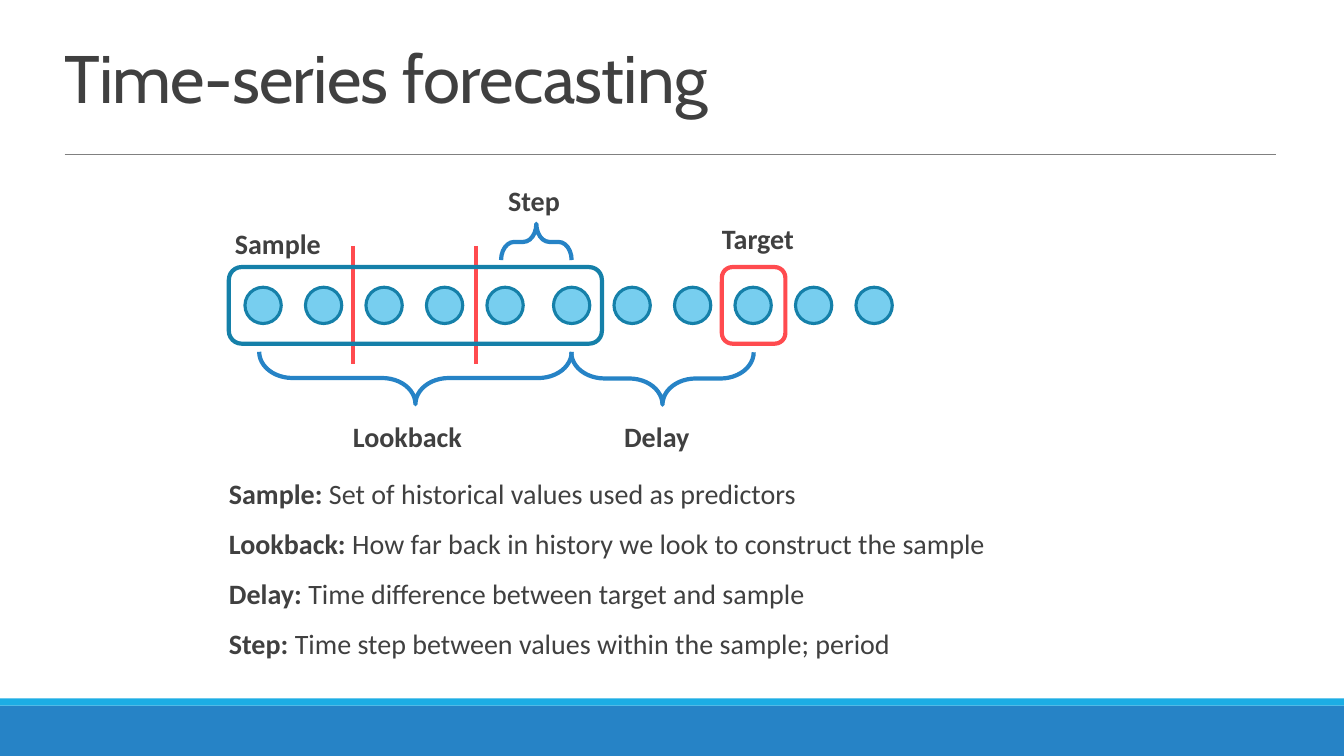
from pptx import Presentation
from pptx.dml.color import RGBColor
from pptx.enum.shapes import MSO_CONNECTOR, MSO_SHAPE
from pptx.enum.text import MSO_ANCHOR, MSO_AUTO_SIZE, PP_ALIGN
from pptx.oxml.ns import qn
from pptx.util import Inches, Pt

COLORS = {
    "text": "404040",
    "rule": "808080",
    "blue": "2683C6",
    "cyan": "1CADE4",
    "dot": "77CEEF",
    "outline": "1580A9",
    "red": "FF4B4F",
}

DEFINITIONS = [
    ("Sample: ", "Set of historical values used as predictors"),
    ("Lookback: ", "How far back in history we look to construct the sample"),
    ("Delay: ", "Time difference between target and sample"),
    ("Step: ", "Time step between values within the sample; period"),
]

LABELS = [
    ("Sample", 2.33, 2.24, 1.19, 0.41),
    ("Target", 7.16, 2.19, 1.19, 0.41),
    ("Lookback", 3.5, 4.15, 1.47, 0.48),
    ("Delay", 6.19, 4.15, 0.87, 0.48),
    ("Step", 5.04, 1.81, 0.7, 0.41),
]

DOT_COUNT, SAMPLE_DOTS = 11, 6
DOT_LEFT, DOT_PITCH, LAST_SAMPLE_SHIFT = 2.43, 0.6, 0.06


def rgb(name):
    return RGBColor.from_string(COLORS[name])


def add_figure(slide, kind, left, top, width, height, fill=None, line=None, weight=3):
    figure = slide.shapes.add_shape(
        kind, Inches(left), Inches(top), Inches(width), Inches(height))
    figure.shadow.inherit = False
    if fill:
        figure.fill.solid()
        figure.fill.fore_color.rgb = rgb(fill)
    else:
        figure.fill.background()
    if line:
        figure.line.color.rgb = rgb(line)
        figure.line.width = Pt(weight)
    else:
        figure.line.fill.background()
    return figure


def add_brace(slide, left, top, width, height, rotation, curve):
    brace = add_figure(slide, MSO_SHAPE.RIGHT_BRACE, left, top, width, height, line="blue")
    brace.rotation = rotation
    brace.adjustments[0] = curve
    brace.adjustments[1] = 0.5


def add_line(slide, x1, y1, x2, y2, color, weight):
    line = slide.shapes.add_connector(
        MSO_CONNECTOR.STRAIGHT, Inches(x1), Inches(y1), Inches(x2), Inches(y2))
    line.line.color.rgb = rgb(color)
    line.line.width = Pt(weight)
    properties = line._element.spPr
    properties.append(properties.makeelement(qn("a:effectLst"), {}))


def style_run(run, size, font, bold=False):
    run.font.size = Pt(size)
    run.font.name = font
    run.font.bold = bold
    run.font.color.rgb = rgb("text")


def add_text(slide, entries, left, top, width, height):
    """Write one paragraph per (bold term, plain explanation) pair."""
    box = slide.shapes.add_textbox(
        Inches(left), Inches(top), Inches(width), Inches(height))
    frame = box.text_frame
    frame.word_wrap = True
    frame.margin_left = frame.margin_right = 0
    frame.text = "\n".join(term for term, _ in entries)
    for paragraph, (_, explanation) in zip(frame.paragraphs, entries):
        paragraph.line_spacing = 0.9
        paragraph.space_before = Pt(12)
        paragraph.space_after = Pt(2)
        style_run(paragraph.runs[0], 20, "Calibri", bold=True)
        if explanation:
            run = paragraph.add_run()
            run.text = explanation
            style_run(run, 20, "Calibri")


def set_title(slide, wording):
    title = slide.shapes.title
    title.left, title.top = Inches(0.54), Inches(0.21)
    title.width, title.height = Inches(12.11), Inches(1)
    frame = title.text_frame
    frame.text = wording
    frame.auto_size = MSO_AUTO_SIZE.NONE
    frame.vertical_anchor = MSO_ANCHOR.BOTTOM
    paragraph = frame.paragraphs[0]
    paragraph.alignment = PP_ALIGN.LEFT
    paragraph.line_spacing = 0.85
    run = paragraph.runs[0]
    style_run(run, 48, "Cabin")
    run.font._element.set("spc", "-50")


def add_backdrop(slide):
    add_figure(slide, MSO_SHAPE.RECTANGLE, 0, 7, 13.33, 0.5, fill="blue")
    add_figure(slide, MSO_SHAPE.RECTANGLE, 0, 6.93, 13.33, 0.07, fill="cyan")
    add_line(slide, 0.64, 1.53, 12.66, 1.53, "rule", 0.5)


def add_timeline(slide):
    for index in range(DOT_COUNT):
        shift = LAST_SAMPLE_SHIFT if index >= SAMPLE_DOTS - 1 else 0
        add_figure(slide, MSO_SHAPE.OVAL, DOT_LEFT + index * DOT_PITCH + shift, 2.85,
                   0.36, 0.36, fill="dot", line="outline", weight=2.25)
    add_figure(slide, MSO_SHAPE.ROUNDED_RECTANGLE, 7.16, 2.65, 0.63, 0.76, line="red")
    add_brace(slide, 3.86, 2.2, 0.52, 3.1, 90, 0.636)
    add_brace(slide, 6.31, 2.85, 0.52, 1.81, 90, 0.636)
    add_brace(slide, 5.14, 2.05, 0.36, 0.7, 270, 0.36)
    for step_edge in (3.5, 4.72):
        add_line(slide, step_edge, 2.44, step_edge, 3.61, "red", 3)
    add_figure(slide, MSO_SHAPE.ROUNDED_RECTANGLE, 2.27, 2.65, 3.7, 0.76, line="outline")
    for wording, *place in LABELS:
        add_text(slide, [(wording, "")], *place)


def main():
    deck = Presentation()
    deck.slide_width, deck.slide_height = Inches(13.33), Inches(7.5)
    slide = deck.slides.add_slide(deck.slide_layouts.get_by_name("Title Only"))
    add_backdrop(slide)
    set_title(slide, "Time-series forecasting")
    add_text(slide, DEFINITIONS, 2.27, 4.72, 8.79, 1.95)
    add_timeline(slide)
    deck.save("out.pptx")


if __name__ == "__main__":
    main()
